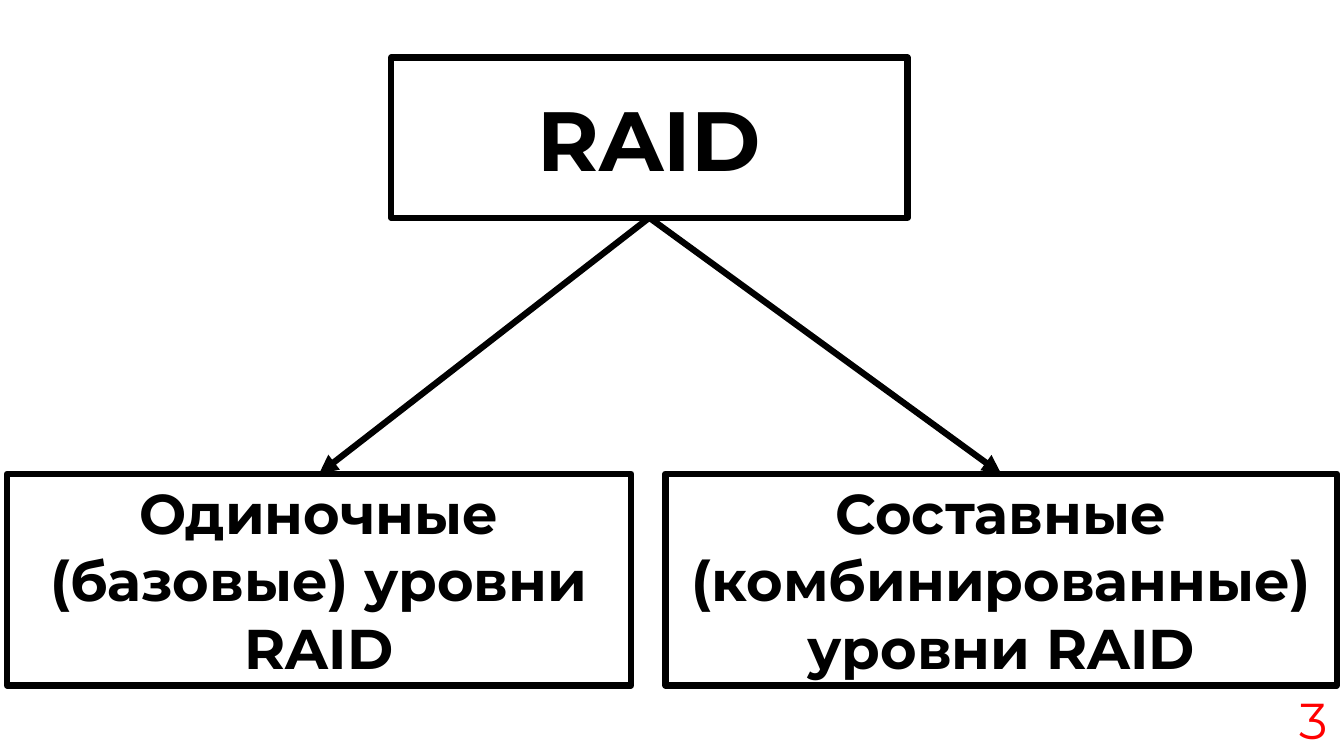
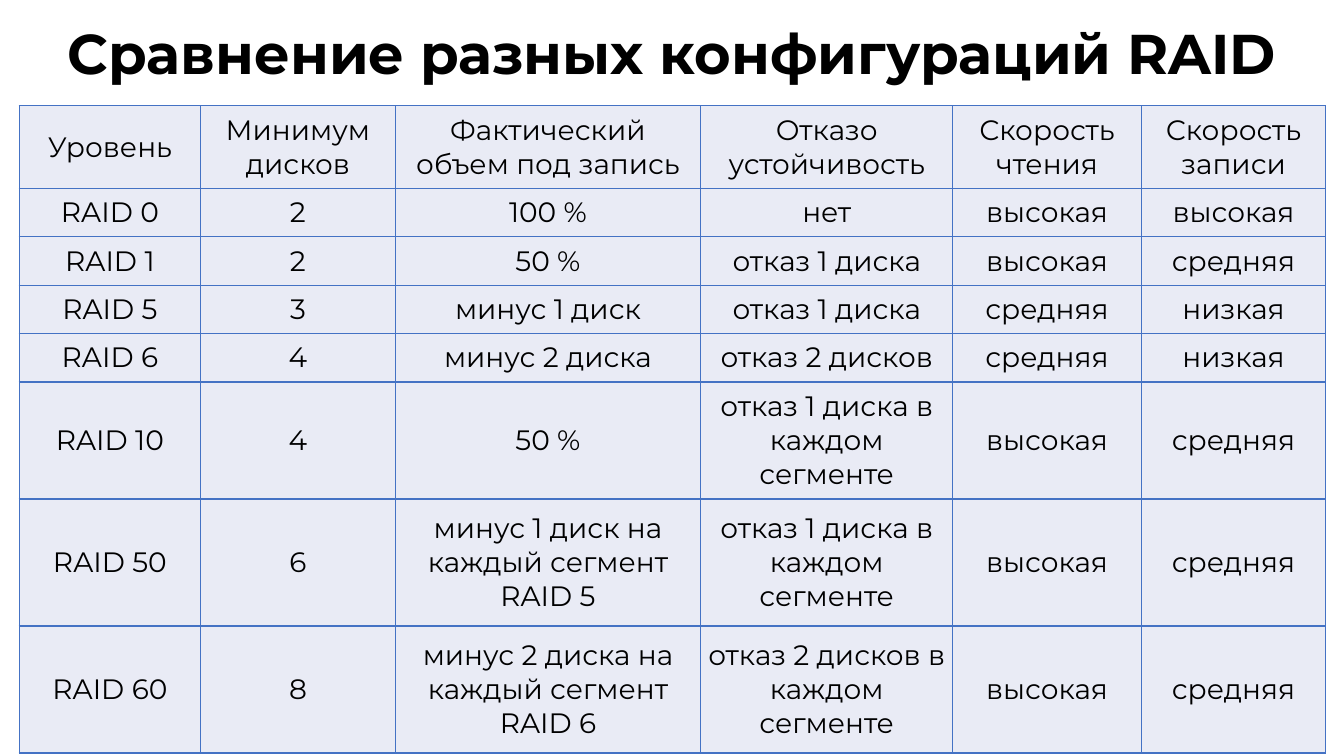
from pptx import Presentation
from pptx.dml.color import RGBColor
from pptx.enum.shapes import MSO_CONNECTOR, MSO_SHAPE
from pptx.enum.text import MSO_ANCHOR, MSO_AUTO_SIZE, PP_ALIGN
from pptx.oxml import parse_xml
from pptx.oxml.ns import nsdecls
from pptx.util import Inches, Pt

COLORS = {"text": "000000", "paper": "FFFFFF", "number": "FF0000",
          "cell": "E9EBF5", "grid": "4472C4"}
RGB = {name: RGBColor.from_string(value) for name, value in COLORS.items()}
FONT = "Montserrat"
TITLE_SIZE = 40


def write(tf, text, size, bold=False, color="text", align=PP_ALIGN.CENTER):
    p = tf.paragraphs[0]
    p.alignment = align
    r = p.add_run()
    r.text = text
    for name, value in {"name": FONT, "size": Pt(size), "bold": bold}.items():
        setattr(r.font, name, value)
    r.font.color.rgb = RGB[color]


def add_xml(parent, xml):
    parent.append(parse_xml(xml.replace(" ", f" {nsdecls('a')} ", 1)))


prs = Presentation()
prs.slide_width, prs.slide_height = Inches(13.33), Inches(7.5)

# Slide 1: RAID families
s = prs.slides.add_slide(prs.slide_layouts[6])
boxes = []
for text, size, *place in [
    ("RAID", 60, 3.88, 0.57, 5.12, 1.59),
    ("Одиночные (базовые) уровни RAID", 40, 0.07, 4.7, 6.19, 2.1),
    ("Составные (комбинированные) уровни RAID", 40, 6.6, 4.7, 6.66, 2.1),
]:
    sp = s.shapes.add_shape(MSO_SHAPE.RECTANGLE, *map(Inches, place))
    sp.shadow.inherit = False
    sp.fill.solid()
    sp.fill.fore_color.rgb = RGB["paper"]
    sp.line.color.rgb = RGB["text"]
    sp.line.width = Pt(4.5)
    tf = sp.text_frame
    tf.word_wrap = True
    tf.vertical_anchor = MSO_ANCHOR.MIDDLE
    write(tf, text, size, bold=True)
    boxes.append(sp)

# Arrows from the bottom of the root to the top of each branch
root, *branches = boxes
for branch in branches:
    arrow = s.shapes.add_connector(MSO_CONNECTOR.STRAIGHT, 0, 0, 0, 0)
    arrow.begin_connect(root, 2)
    arrow.end_connect(branch, 0)
    arrow.line.color.rgb = RGB["text"]
    arrow.line.width = Pt(4.5)
    add_xml(arrow.line._get_or_add_ln(), '<a:tailEnd type="triangle"/>')
    add_xml(arrow._element.spPr, "<a:effectLst />")

# Page number
number = s.shapes.add_textbox(*map(Inches, (12.79, 6.79, 0.54, 0.71)))
number.text_frame.word_wrap = False
write(number.text_frame, "3", 36, color="number", align=PP_ALIGN.LEFT)

# Slide 2: comparison
s = prs.slides.add_slide(prs.slide_layouts[5])
title = s.shapes.title
for name, value in {"left": 0, "top": 0.13, "width": 13.33, "height": 0.77}.items():
    setattr(title, name, Inches(value))
tf = title.text_frame
tf.auto_size = MSO_AUTO_SIZE.NONE
tf.vertical_anchor = MSO_ANCHOR.TOP
write(tf, "Сравнение разных конфигураций RAID", TITLE_SIZE, bold=True)

rows = [
    ("Уровень", "Минимум дисков", "Фактический объем под запись",
     "Отказо устойчивость", "Скорость чтения", "Скорость записи"),
    ("RAID 0", "2", "100 %", "нет", "высокая", "высокая"),
    ("RAID 1", "2", "50 %", "отказ 1 диска", "высокая", "средняя"),
    ("RAID 5", "3", "минус 1 диск", "отказ 1 диска", "средняя", "низкая"),
    ("RAID 6", "4", "минус 2 диска", "отказ 2 дисков", "средняя", "низкая"),
    ("RAID 10", "4", "50 %", "отказ 1 диска в каждом сегменте",
     "высокая", "средняя"),
    ("RAID 50", "6", "минус 1 диск на каждый сегмент RAID 5",
     "отказ 1 диска в каждом сегменте", "высокая", "средняя"),
    ("RAID 60", "8", "минус 2 диска на каждый сегмент RAID 6",
     "отказ 2 дисков в каждом сегменте", "высокая", "средняя"),
]
widths = [1.8, 1.93, 3.03, 2.5, 1.87, 1.83]
heights = [0.82] + [0.47] * 4 + [1.14, 1.26, 1.26]
table = s.shapes.add_table(
    len(rows), len(widths), Inches(0.19), Inches(1.05),
    Inches(sum(widths)), Inches(sum(heights))).table
table.first_row = table.horz_banding = False
for col, width in zip(table.columns, widths):
    col.width = Inches(width)
for row, height in zip(table.rows, heights):
    row.height = Inches(height)

cell_format = {"vertical_anchor": MSO_ANCHOR.MIDDLE}
for side in ("left", "right", "top", "bottom"):
    cell_format[f"margin_{side}"] = Inches(0.07)

for i, texts in enumerate(rows):
    for j, text in enumerate(texts):
        cell = table.cell(i, j)
        for name, value in cell_format.items():
            setattr(cell, name, value)
        # Borders come before the fill in the cell properties
        for edge in "LRTB":
            add_xml(cell._tc.get_or_add_tcPr(),
                    f'<a:ln{edge} w="{Pt(1)}"><a:solidFill>'
                    f'<a:srgbClr val="{COLORS["grid"]}"/>'
                    f"</a:solidFill></a:ln{edge}>")
        cell.fill.solid()
        cell.fill.fore_color.rgb = RGB["cell"]
        write(cell.text_frame, text, 20)

prs.save("out.pptx")
